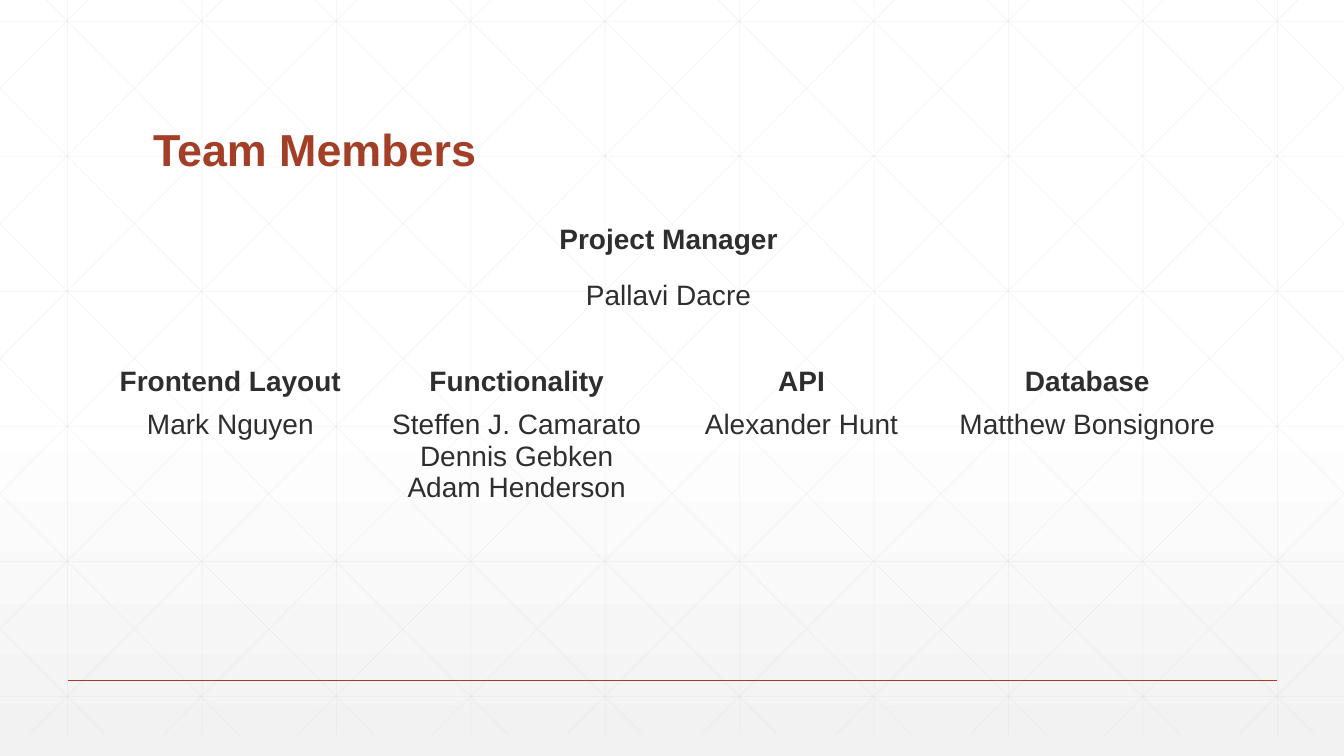
import copy

import lxml.etree
import pptx
import pptx.dml.color
import pptx.enum.shapes
import pptx.enum.text
import pptx.oxml.ns
import pptx.util

Inches = pptx.util.Inches
Pt = pptx.util.Pt
RGBColor = pptx.dml.color.RGBColor
qn = pptx.oxml.ns.qn
ALIGN = pptx.enum.text.PP_ALIGN
ANCHOR = pptx.enum.text.MSO_ANCHOR

TITLE = "Team Members"
MANAGER = [("Project Manager", True), ("Pallavi Dacre", False)]
TEAM_TABLES = [
    (3.71, [2.83, 2.82, 2.85], [
        ("Functionality", ["Steffen J. Camarato", "Dennis Gebken", "Adam Henderson"]),
        ("API", ["Alexander Hunt"]),
        ("Database", ["Matthew Bonsignore"]),
    ]),
    (0.87, [2.83], [("Frontend Layout", ["Mark Nguyen"])]),
]

FONT = "Arial"
RUST = RGBColor(0xA4, 0x3F, 0x27)
INK = RGBColor(0x2D, 0x2E, 0x2D)
GRID = RGBColor(0xD9, 0xD9, 0xD9)
WHITE = RGBColor(0xFF, 0xFF, 0xFF)
PALE = RGBColor(0xF2, 0xF2, 0xF2)

WIDTH, HEIGHT = 13.33, 7.5
GRID_TOP, GRID_BOTTOM = -0.21, 7.29
STEP = 4 / 3
DIAGONAL_RUN = 7.46
NO_GRID_STYLE = "{2D5ABB26-0587-4C30-8999-92F81FD0307C}"


def paint_background(page):
    fill = page.background.fill
    fill.gradient()
    fill.gradient_angle = 270
    first, last = fill.gradient_stops
    first.color.rgb, first.position = WHITE, 0
    last.color.rgb, last.position = PALE, 1
    stop = next(page.element.iter(qn("a:gs")))
    middle = copy.deepcopy(stop)
    middle.set("pos", "53000")
    stop.addnext(middle)


def add_line(page, start, end, color, width, opacity=100):
    line = page.shapes.add_connector(
        pptx.enum.shapes.MSO_CONNECTOR.STRAIGHT,
        *(Inches(value) for value in (*start, *end)))
    line.line.color.rgb = color
    line.line.width = Pt(width)
    if opacity < 100:
        paint = next(line.element.iter(qn("a:srgbClr")))
        lxml.etree.SubElement(paint, qn("a:alpha")).set("val", str(opacity * 1000))
    lxml.etree.SubElement(line.element.spPr, qn("a:effectLst"))


def grid_lines():
    for column in range(10):
        x = 0.67 + column * STEP
        yield (x, GRID_TOP), (x, GRID_BOTTOM)
    for row in range(6):
        y = 0.21 + row * 1.34
        yield (0, y), (WIDTH, y)
    slope = (GRID_BOTTOM - GRID_TOP) / DIAGONAL_RUN
    for index in range(-5, 10):
        x = 0.25 + index * STEP
        left, right = max(x, 0), min(x + DIAGONAL_RUN, WIDTH)
        top, bottom = (GRID_TOP + (edge - x) * slope for edge in (left, right))
        yield (left, top), (right, bottom)
        yield (WIDTH - left, top), (WIDTH - right, bottom)


def style(para, size, color, bold, align):
    para.font.name = FONT
    para.font.size = Pt(size)
    para.font.color.rgb = color
    para.font.bold = bold
    para.alignment = align


def add_text(page, area, lines, size, color, align, anchor):
    frame = page.shapes.add_textbox(*(Inches(value) for value in area)).text_frame
    frame.word_wrap = True
    frame.vertical_anchor = anchor
    for index, (text, bold) in enumerate(lines):
        para = frame.add_paragraph() if index else frame.paragraphs[0]
        para.text = text
        para.line_spacing = 0.9
        para.space_before = Pt(18 if index else 0)
        style(para, size, color, bold, align)


def add_team_table(page, left, widths, teams):
    line_count = max(len(names) for role, names in teams)
    heights = [0.41, 0.1 + 0.31 * line_count]
    frame = page.shapes.add_table(
        2, len(teams), Inches(left), Inches(3.58),
        Inches(sum(widths)), Inches(sum(heights)))
    next(frame.element.iter(qn("a:tableStyleId"))).text = NO_GRID_STYLE
    table = frame.table
    table.first_row = table.horz_banding = False
    for row, height in zip(table.rows, heights):
        row.height = Inches(height)
    for index, (role, names) in enumerate(teams):
        table.columns[index].width = Inches(widths[index])
        for row, text in enumerate((role, "\n".join(names))):
            cell = table.cell(row, index)
            cell.fill.background()
            cell.text = text
            for para in cell.text_frame.paragraphs:
                style(para, 20, INK, row == 0, ALIGN.CENTER)


def main():
    deck = pptx.Presentation()
    deck.slide_width, deck.slide_height = Inches(WIDTH), Inches(HEIGHT)
    page = deck.slides.add_slide(deck.slide_layouts[6])
    paint_background(page)
    for start, end in grid_lines():
        add_line(page, start, end, GRID, 0.5, 25)
    add_line(page, (0.67, 6.75), (12.67, 6.75), RUST, 1)
    add_text(page, (1.42, 0.55, 10.5, 1.25), [(TITLE, True)],
             32, RUST, ALIGN.LEFT, ANCHOR.BOTTOM)
    add_text(page, (2.84, 2.19, 7.58, 1.2), MANAGER,
             20, INK, ALIGN.CENTER, ANCHOR.TOP)
    for left, widths, teams in TEAM_TABLES:
        add_team_table(page, left, widths, teams)
    deck.save("out.pptx")


if __name__ == "__main__":
    main()
